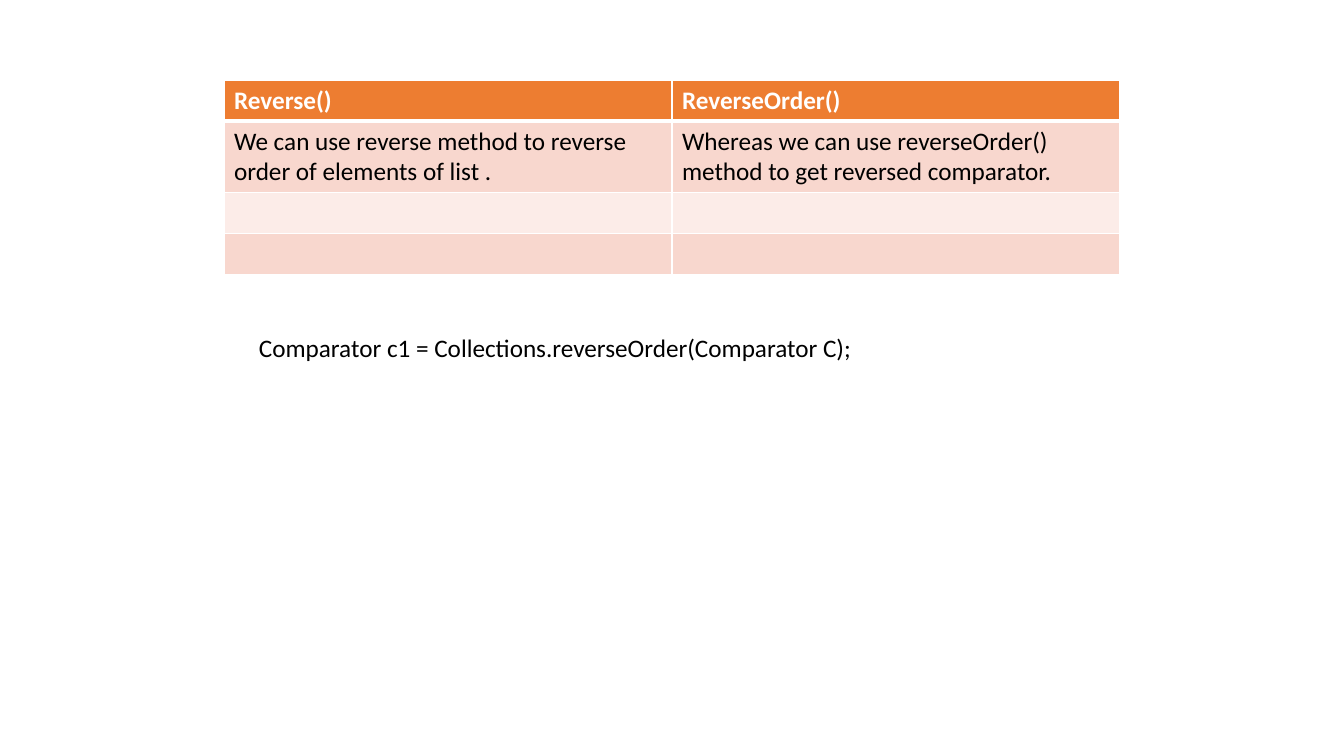
from dataclasses import dataclass

from lxml import etree
from pptx import Presentation
from pptx.dml.color import RGBColor
from pptx.enum.text import MSO_AUTO_SIZE
from pptx.oxml.ns import qn
from pptx.util import Pt

EMU_PER_PIXEL = 914400 / 100.8
FIT_SHAPE = MSO_AUTO_SIZE.SHAPE_TO_FIT_TEXT
COLORS = {
    "header": "ED7D31",
    "band": "F8D7CE",
    "light_band": "FCECE8",
    "white": "FFFFFF",
    "black": "000000",
}
BODY_FORMAT = {"name": "Calibri", "size": Pt(18), "bold": False}
HEADER_FORMAT = {**BODY_FORMAT, "bold": True}


@dataclass
class TableRow:
    """One row of the comparison table."""
    texts: tuple[str, str]
    height: int
    fill: str
    color: str = "black"
    bottom: int = 1
    top: int = 1


ROWS = [
    TableRow(("Reverse()", "ReverseOrder()"), 41, "header", "white", bottom=3),
    TableRow(("We can use reverse method to reverse order of elements of list .",
              "Whereas we can use reverseOrder() method to get reversed comparator."),
             71, "band", top=3),
    TableRow(("", ""), 41, "light_band"),
    TableRow(("", ""), 41, "band"),
]


def pixels(length: int) -> int:
    """Turn pixels into EMU."""
    return round(length * EMU_PER_PIXEL)


def write(frame, text: str, color: str, formats: dict) -> None:
    """Put one formatted span into a text frame."""
    span = frame.paragraphs[0].add_run()
    span.text = text
    for name, value in formats.items():
        setattr(span.font, name, value)
    span.font.color.rgb = RGBColor.from_string(COLORS[color])


def add_borders(cell, widths: dict[str, int]) -> None:
    """Draw white cell borders, with widths in points by side."""
    properties = cell._tc.get_or_add_tcPr()
    for side, width in widths.items():
        line = etree.SubElement(properties, qn(f"a:ln{side}"), w=str(Pt(width)))
        fill = etree.SubElement(line, qn("a:solidFill"))
        etree.SubElement(fill, qn("a:srgbClr"), val=COLORS["white"])


def add_comparison(page, left: int, top: int, width: int) -> None:
    """Add the table that compares both methods."""
    height = sum(row.height for row in ROWS)
    table = page.shapes.add_table(
        len(ROWS), 2, *map(pixels, (left, top, width, height))).table
    for index, row in enumerate(ROWS):
        table.rows[index].height = pixels(row.height)
        formats = HEADER_FORMAT if index == 0 else BODY_FORMAT
        for column, text in enumerate(row.texts):
            cell = table.cell(index, column)
            add_borders(cell, {"L": 1, "R": 1, "T": row.top, "B": row.bottom})
            cell.fill.solid()
            cell.fill.fore_color.rgb = RGBColor.from_string(COLORS[row.fill])
            if text:
                write(cell.text_frame, text, row.color, formats)


def add_code(page, left: int, top: int, width: int, height: int, text: str) -> None:
    """Add the code line below the table."""
    box = page.shapes.add_textbox(*map(pixels, (left, top, width, height)))
    box.text_frame.word_wrap = True
    box.text_frame.auto_size = FIT_SHAPE
    write(box.text_frame, text, "black", BODY_FORMAT)


deck = Presentation()
deck.slide_width = pixels(1344)
deck.slide_height = pixels(756)
page = deck.slides.add_slide(deck.slide_layouts[6])
add_comparison(page, 224, 80, 896)
add_code(page, 249, 327, 988, 72,
         "Comparator c1 = Collections.reverseOrder(Comparator C);")
deck.save("out.pptx")
